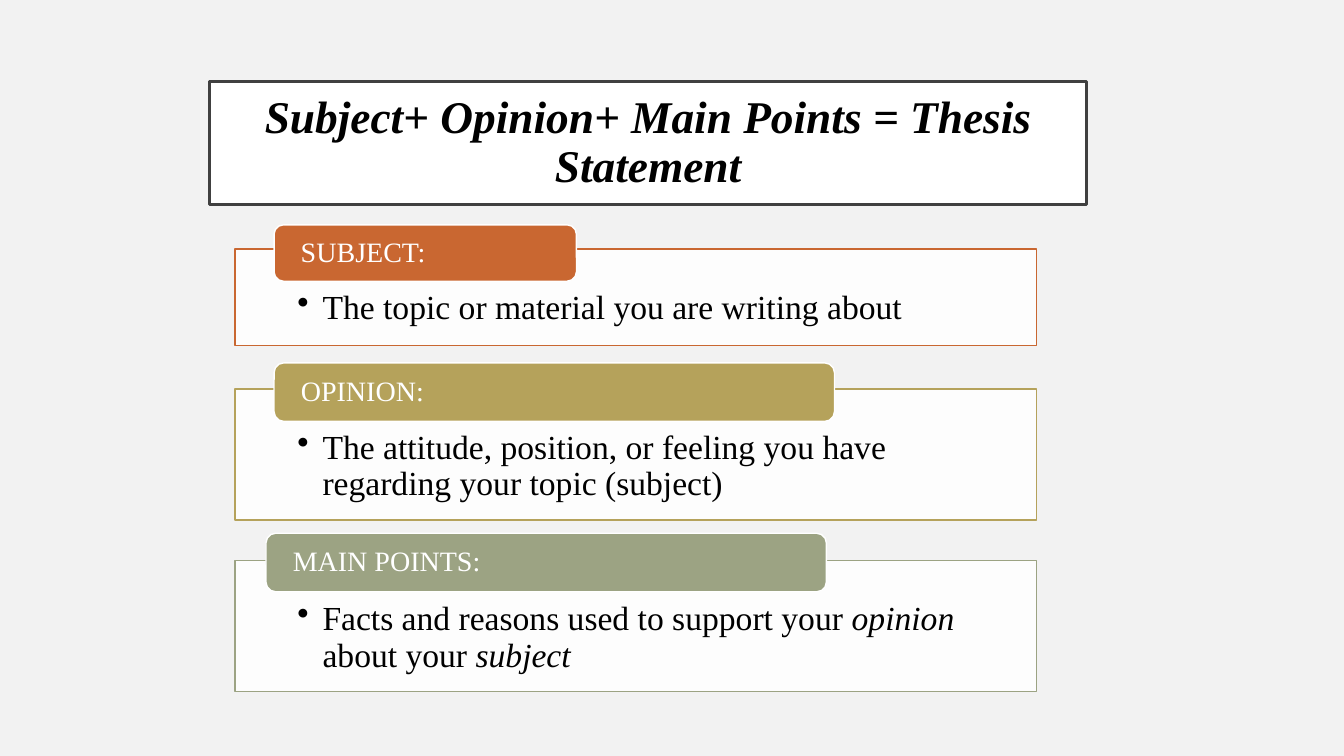
from pptx import Presentation
from pptx.dml.color import RGBColor
from pptx.enum.shapes import MSO_SHAPE as Kind
from pptx.enum.text import MSO_ANCHOR as Anchor, MSO_AUTO_SIZE as Fit, PP_ALIGN as Align
from pptx.oxml.ns import qn
from pptx.util import Pt
from lxml.etree import SubElement

FONT = "Times New Roman"
TITLE = "Subject+ Opinion+ Main Points = Thesis Statement"
PARTS = [
    ("SUBJECT:", "C96731", [("The topic or material you are writing about", False)],
     (177.8, 69.1), (195.8, 160.6, 216, 40.3)),
    ("OPINION:", "B5A25B",
     [("The attitude, position, or feeling you have regarding your topic (subject)", False)],
     (277.9, 93.6), (195.8, 259.2, 400.3, 41.8)),
    ("MAIN POINTS:", "9CA383",
     [("Facts and reasons used to support your ", False), ("opinion", True),
      (" about your ", False), ("subject", True)],
     (400.3, 93.6), (190, 380.9, 400.3, 41.8)),
]
LEFT, WIDTH = 167.8, 572.4


def color(code):
    return RGBColor.from_string(code)


def paint(shape, fill, line, width):
    shape.fill.solid()
    shape.fill.fore_color.rgb = color(fill)
    shape.line.color.rgb = color(line)
    shape.line.width = Pt(width)


def frame(shape, pads, anchor):
    text = shape.text_frame
    text.word_wrap = True
    text.auto_size = Fit.NONE
    text.vertical_anchor = anchor
    (text.margin_left, text.margin_top,
     text.margin_right, text.margin_bottom) = [Pt(pad) for pad in pads]
    return text


def write(para, runs, size, tint, align, bold=False):
    para.alignment = align
    para.line_spacing = 0.9
    para.space_before = Pt(0)
    for words, slant in runs:
        run = para.add_run()
        run.text = words
        font = run.font
        font.name, font.size = FONT, Pt(size)
        font.bold, font.italic = bold, slant
        font.color.rgb = color(tint)


def add_box(slide, kind, place, fill, line):
    box = slide.shapes.add_shape(kind, *[Pt(num) for num in place])
    box.shadow.inherit = False
    paint(box, fill, line, 1)
    return box


def add_part(slide, label, tint, runs, span, place):
    top, height = span
    panel = add_box(slide, Kind.RECTANGLE, (LEFT, top, WIDTH, height), "FFFFFF", tint)
    shade = panel.fill._xPr.find(qn("a:solidFill"))[0]
    SubElement(shade, qn("a:alpha")).set("val", "90000")
    para = frame(panel, (44.6, 29.5, 44.6, 13.7), Anchor.TOP).paragraphs[0]
    props = para._p.get_or_add_pPr()
    props.set("marL", str(Pt(18)))
    props.set("indent", str(-Pt(18)))
    SubElement(props, qn("a:buChar")).set("char", "•")
    write(para, runs, 24, "000000", Align.LEFT)

    tab = add_box(slide, Kind.ROUNDED_RECTANGLE, place, tint, "FFFFFF")
    para = frame(tab, (17.1, 0, 17.1, 0), Anchor.MIDDLE).paragraphs[0]
    write(para, [(label, False)], 20, "FFFFFF", Align.LEFT)


def main():
    deck = Presentation()
    deck.slide_width, deck.slide_height = Pt(960), Pt(540)
    slide = deck.slides.add_slide(deck.slide_layouts[5])
    slide.background.fill.solid()
    slide.background.fill.fore_color.rgb = color("F2F2F2")

    title = slide.shapes.title
    title.left, title.top, title.width, title.height = Pt(149.8), Pt(58.3), Pt(626.4), Pt(87.8)
    paint(title, "FFFFFF", "404040", 2.5)
    para = frame(title, [14.4] * 4, Anchor.MIDDLE).paragraphs[0]
    write(para, [(TITLE, True)], 32.4, "000000", Align.CENTER, True)

    for part in PARTS:
        add_part(slide, *part)
    deck.save("out.pptx")


if __name__ == "__main__":
    main()
